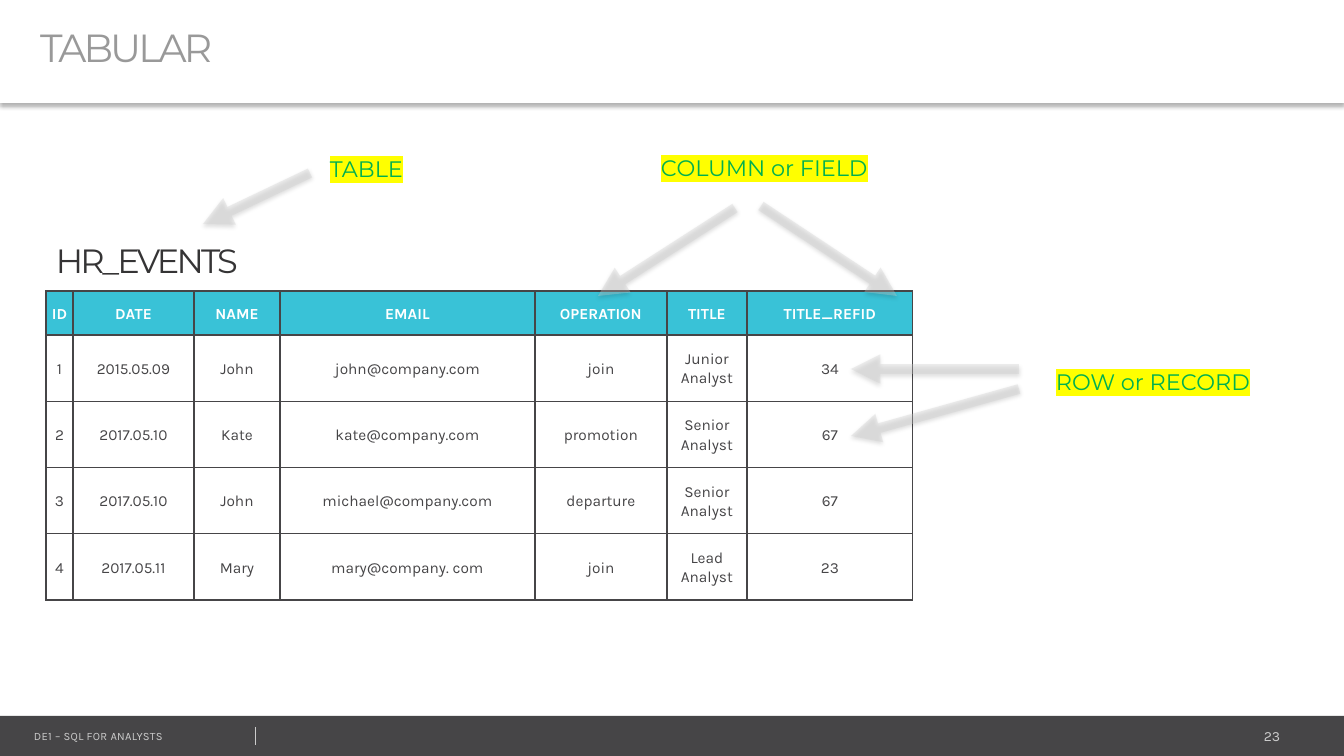
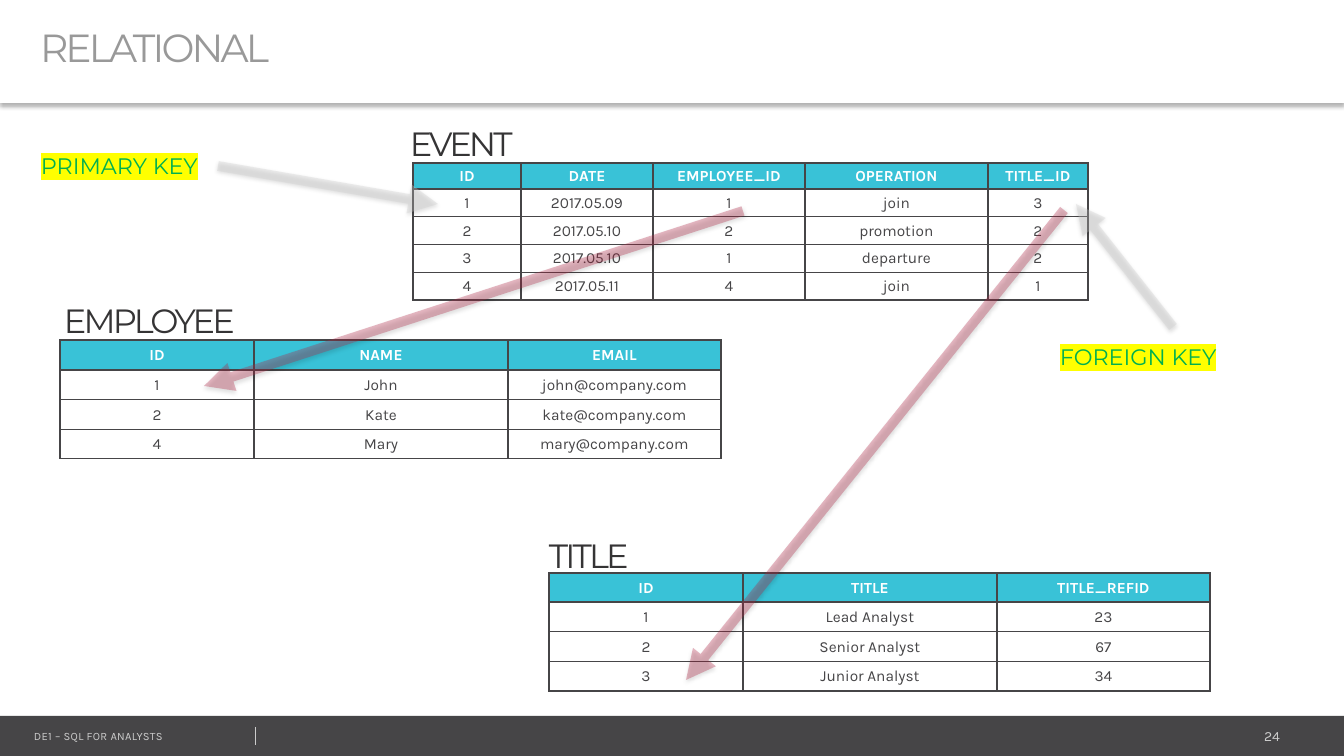
from lxml import etree
from pptx import Presentation
from pptx.dml.color import RGBColor
from pptx.enum.shapes import MSO_CONNECTOR, MSO_SHAPE
from pptx.enum.text import MSO_ANCHOR, MSO_AUTO_SIZE, PP_ALIGN
from pptx.oxml.ns import qn
from pptx.util import Emu, Pt

LEFT, CENTER, RIGHT = PP_ALIGN.LEFT, PP_ALIGN.CENTER, PP_ALIGN.RIGHT
MIDDLE = MSO_ANCHOR.MIDDLE
NO_AUTOFIT = MSO_AUTO_SIZE.NONE
STRAIGHT = MSO_CONNECTOR.STRAIGHT
RECTANGLE = MSO_SHAPE.RECTANGLE

SLIDE_WIDTH, SLIDE_HEIGHT = 1344, 756
EMU_PER_PX = 914400 / 100.8
TITLE_ONLY_LAYOUT = 5

HEADING_FONT, BODY_FONT = "Montserrat", "Karla"
COLORS = {
    "white": "FFFFFF",
    "dark": "464547",
    "caption": "353435",
    "title": "999999",
    "gray": "CCCCCC",
    "teal": "39C2D7",
    "red": "B22746",
    "green": "00B050",
    "yellow": "FFFF00",
    "black": "000000",
}


def px(length):
    return Emu(round(length * EMU_PER_PX))


def color(name):
    return RGBColor.from_string(COLORS[name])


def add_xml(parent, tag, **attributes):
    element = etree.SubElement(parent, qn(tag))
    for name, value in attributes.items():
        element.set(name, str(value))
    return element


# Text

def write_text(frame, text, size, font=BODY_FONT, fill="dark", bold=False,
               align=LEFT, spacing=None, tracking=None, highlight=None,
               space_after=None):
    frame.word_wrap = True
    paragraph = frame.paragraphs[0]
    paragraph.alignment = align
    paragraph.line_spacing = spacing
    if space_after is not None:
        paragraph.space_after = Pt(space_after)
    run = paragraph.add_run()
    run.text = text
    run.font.size = Pt(size)
    run.font.bold = bold
    run.font.color.rgb = color(fill)
    run.font.name = font
    properties = run.font._element
    if tracking is not None:
        properties.set("spc", str(round(tracking * 100)))
    if highlight:
        mark = add_xml(properties, "a:highlight")
        add_xml(mark, "a:srgbClr", val=COLORS[highlight])
        properties.find(qn("a:solidFill")).addnext(mark)


def add_text(slide, left, top, width, height, text, **style):
    box = slide.shapes.add_textbox(px(left), px(top), px(width), px(height))
    write_text(box.text_frame, text, **style)


def add_caption(slide, left, top, text):
    add_text(slide, left, top, 240, 50, text, size=24, font=HEADING_FONT,
             fill="caption", tracking=-2)


def add_label(slide, left, top, text):
    add_text(slide, left, top, 246, 37, text, size=16, font=HEADING_FONT,
             fill="green", highlight="yellow")


# Lines and shadows

def add_shadow(shape, alpha, distance):
    effects = add_xml(shape.element.spPr, "a:effectLst")
    shadow = add_xml(effects, "a:outerShdw", blurRad=Pt(3.1),
                     dist=Pt(distance), dir=5400000, algn="t", rotWithShape=0)
    black = add_xml(shadow, "a:srgbClr", val=COLORS["black"])
    add_xml(black, "a:alpha", val=alpha * 1000)


def add_line(slide, start, end, stroke, width):
    line = slide.shapes.add_connector(
        STRAIGHT, *[px(value) for value in (*start, *end)])
    line.line.color.rgb = color(stroke)
    line.line.width = Pt(width)
    return line


def add_arrow(slide, start, end, stroke="gray"):
    arrow = add_line(slide, start, end, stroke, 7)
    outline = arrow.element.spPr.find(qn("a:ln"))
    add_xml(outline.find(".//" + qn("a:srgbClr")), "a:alpha", val=32000)
    add_xml(outline, "a:tailEnd", type="triangle")
    add_shadow(arrow, alpha=38, distance=1.6)


# Tables

def format_cell(cell, text, is_header, **style):
    cell.margin_left = cell.margin_right = cell.margin_top = px(1)
    cell.margin_bottom = 0
    cell.vertical_anchor = MIDDLE
    cell.fill.solid()
    cell.fill.fore_color.rgb = color("teal" if is_header else "white")
    write_text(cell.text_frame, text, size=11, align=CENTER, bold=is_header,
               fill="white" if is_header else "dark", **style)
    properties = cell._tc.get_or_add_tcPr()
    for index, side in enumerate("LRTB"):
        border = add_xml(properties, f"a:ln{side}", w=Pt(1))
        fill = add_xml(border, "a:solidFill")
        add_xml(fill, "a:srgbClr", val=COLORS["dark"])
        properties.insert(index, border)


def add_data_table(slide, left, top, widths, header_height, body_height, rows,
                   **style):
    frame = slide.shapes.add_table(
        len(rows), len(widths), px(left), px(top), px(sum(widths)),
        px(header_height + body_height))
    table = frame.table
    for column, width in zip(table.columns, widths):
        column.width = px(width)
    row_height = body_height / (len(rows) - 1)
    for row_index, values in enumerate(rows):
        is_header = row_index == 0
        table.rows[row_index].height = px(
            header_height if is_header else row_height)
        for column_index, value in enumerate(values):
            format_cell(table.cell(row_index, column_index), value, is_header,
                        **style)


# Shared frame of every slide

def add_footer(slide, number):
    band = slide.shapes.add_shape(
        RECTANGLE, 0, px(716), px(SLIDE_WIDTH), px(40))
    band.shadow.inherit = False
    band.fill.solid()
    band.fill.fore_color.rgb = color("dark")
    band.line.fill.background()
    add_text(slide, 1070, 723, 220, 27, str(number), size=10, fill="gray",
             align=RIGHT)
    add_text(slide, 24, 724, 220, 24, "DE1 – SQL FOR ANALYSTS", size=8,
             fill="gray", tracking=0.2)
    divider = add_line(slide, (255, 727), (255, 745), "gray", 0.25)
    add_xml(divider.element.spPr, "a:effectLst")


def start_slide(presentation, title_text, number):
    layout = presentation.slide_layouts[TITLE_ONLY_LAYOUT]
    slide = presentation.slides.add_slide(layout)
    title = slide.shapes.title
    title.left, title.top = 0, 0
    title.width, title.height = px(SLIDE_WIDTH), px(103)
    title.fill.solid()
    title.fill.fore_color.rgb = color("white")
    title.line.fill.background()
    add_shadow(title, alpha=30, distance=2)
    frame = title.text_frame
    frame.auto_size = NO_AUTOFIT
    frame.vertical_anchor = MIDDLE
    frame.margin_left, frame.margin_right = px(40), px(10)
    frame.margin_top = frame.margin_bottom = px(5)
    write_text(frame, title_text, size=28, font=HEADING_FONT, fill="title",
               spacing=0.8, tracking=-2)
    add_footer(slide, number)
    return slide


# Slides

def build_tabular(presentation):
    slide = start_slide(presentation, "TABULAR", 23)
    add_data_table(slide, 46, 291, [27, 121, 86, 255, 132, 80, 166], 44, 265, [
        ["ID", "DATE", "NAME", "EMAIL", "OPERATION", "TITLE", "TITLE_REFID"],
        ["1", "2015.05.09", "John", "john@company.com", "join",
         "Junior Analyst", "34"],
        ["2", "2017.05.10", "Kate", "kate@company.com", "promotion",
         "Senior Analyst", "67"],
        ["3", "2017.05.10", "John", "michael@company.com", "departure",
         "Senior Analyst", "67"],
        ["4", "2017.05.11", "Mary", "mary@company. com", "join",
         "Lead Analyst", "23"],
    ], spacing=1.07, space_after=8)
    add_caption(slide, 46, 235, "HR_EVENTS")

    add_label(slide, 1046, 363, "ROW or RECORD")
    add_label(slide, 651, 149, "COLUMN or FIELD")
    add_label(slide, 320, 150, "TABLE")
    for start, end in [
        ((1019, 369), (851, 369)),
        ((1019, 389), (851, 436)),
        ((735, 208), (598, 296)),
        ((761, 206), (897, 296)),
        ((310, 173), (203, 224)),
    ]:
        add_arrow(slide, start, end)


def build_relational(presentation):
    slide = start_slide(presentation, "RELATIONAL", 24)
    lookup_widths = [194, 254, 213]
    add_data_table(slide, 549, 573, lookup_widths, 29, 89, [
        ["ID", "TITLE", "TITLE_REFID"],
        ["1", "Lead Analyst", "23"],
        ["2", "Senior Analyst", "67"],
        ["3", "Junior Analyst", "34"],
    ])
    add_data_table(slide, 413, 163, [108, 132, 152, 183, 100], 26, 111, [
        ["ID", "DATE", "EMPLOYEE_ID", "OPERATION", "TITLE_ID"],
        ["1", "2017.05.09", "1", "join", "3"],
        ["2", "2017.05.10", "2", "promotion", "2"],
        ["3", "2017.05.10", "1", "departure", "2"],
        ["4", "2017.05.11", "4", "join", "1"],
    ])
    add_data_table(slide, 60, 340, lookup_widths, 30, 89, [
        ["ID", "NAME", "EMAIL"],
        ["1", "John", "john@company.com"],
        ["2", "Kate", "kate@company.com"],
        ["4", "Mary", "mary@company.com"],
    ])
    add_caption(slide, 539, 530, "TITLE")
    add_caption(slide, 400, 118, "EVENT")
    add_caption(slide, 54, 295, "EMPLOYEE")

    add_label(slide, 31, 147, "PRIMARY KEY")
    add_label(slide, 1050, 338, "FOREIGN KEY")
    add_arrow(slide, (743, 211), (204, 386), "red")
    add_arrow(slide, (1173, 327), (1076, 204))
    add_arrow(slide, (218, 166), (438, 204))
    add_arrow(slide, (1064, 210), (686, 680), "red")


def main():
    presentation = Presentation()
    presentation.slide_width = px(SLIDE_WIDTH)
    presentation.slide_height = px(SLIDE_HEIGHT)
    build_tabular(presentation)
    build_relational(presentation)
    presentation.save("out.pptx")


if __name__ == "__main__":
    main()
